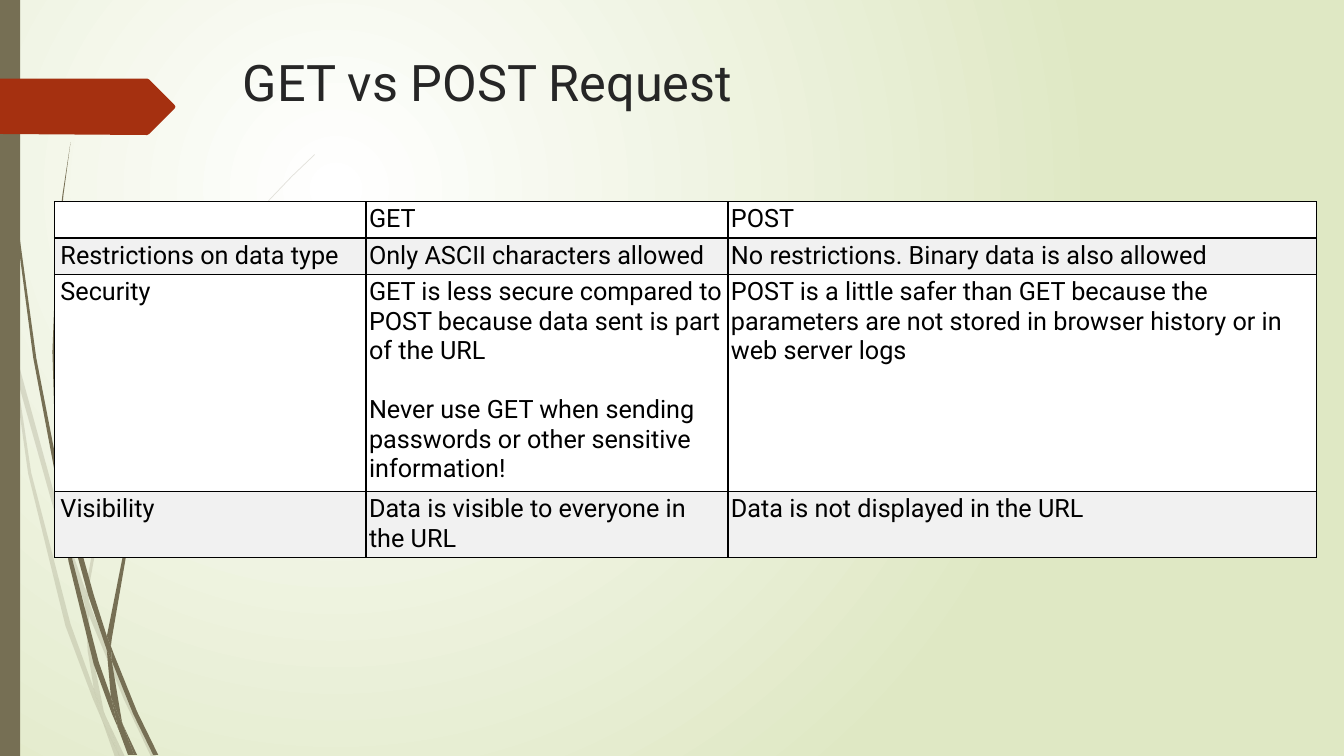
"""Build the slide that compares GET and POST requests."""
import lxml.etree
import pptx
import pptx.dml.color
import pptx.enum.shapes
import pptx.enum.text
import pptx.oxml
import pptx.oxml.ns
import pptx.util

Inches = pptx.util.Inches
Pt = pptx.util.Pt
RGBColor = pptx.dml.color.RGBColor
qn = pptx.oxml.ns.qn

FONT = "Roboto"
WHITE = RGBColor(0xFF, 0xFF, 0xFF)
BLACK = RGBColor(0x00, 0x00, 0x00)
CHARCOAL = RGBColor(0x26, 0x26, 0x26)
PALE_GREEN = RGBColor(0xDF, 0xE8, 0xC4)
OLIVE = RGBColor(0x76, 0x6F, 0x54)
RUST = RGBColor(0xA5, 0x30, 0x10)
LIGHT_GRAY = RGBColor(0xF1, 0xF1, 0xF1)

FAINT_GRASS = [
    [(0.11, 3.5), (0.09, 3.22), (0, 2.82), (0, 2.99), (0.1, 3.44)],
    [(0.58, 5.22), (0.84, 5.99), (0.85, 5.86), (0.62, 5.2), (0.14, 3.45),
     (0.17, 3.76)],
    [(0.92, 6.07), (0.88, 5.96), (0.88, 6.1), (1.23, 6.94), (1.5, 7.51),
     (1.55, 7.51), (1.27, 6.92)],
    [(1.19, 7.51), (1.24, 7.51), (1.05, 7.11)],
    [(0.93, 6.83), (0.7, 6.19), (0.31, 4.69), (0.17, 3.76), (0.11, 3.5),
     (0.28, 4.7), (0.65, 6.21), (0.92, 6.93), (1.01, 7.14), (0.99, 7.07)],
    [(0.84, 5.99), (0.87, 6.46), (0.93, 6.83), (0.96, 6.92), (1.05, 7.11),
     (1.03, 7.06), (0.91, 6.46), (0.88, 6.1), (0.88, 6.08)],
    [(0.88, 5.84), (1.1, 4.62), (1.6, 3.49), (2.29, 2.45), (2.68, 1.98),
     (2.9, 1.75), (3.12, 1.54), (3.12, 1.53), (2.89, 1.75), (2.68, 1.97),
     (2.28, 2.44), (1.58, 3.48), (1.07, 4.61), (0.85, 5.84), (0.85, 5.86),
     (0.88, 5.96)],
    [(1.01, 7.14), (1.14, 7.51), (1.19, 7.51)],
    [(0.88, 6.08), (0.88, 6.1), (0.88, 5.96), (0.85, 5.86), (0.84, 5.99)],
    [(0.96, 6.92), (0.93, 6.83), (0.99, 7.07), (1.01, 7.14), (1.19, 7.51),
     (1.05, 7.11)],
]
DARK_GRASS = [
    [(0.07, 1.1), (0.17, 2.33), (0.33, 3.55), (0.56, 4.77), (0.57, 4.81),
     (0.55, 4.57), (0.55, 4.53), (0.36, 3.55), (0.19, 2.32), (0.08, 1.09),
     (0.05, 0.48), (0.04, 0), (0.03, 0), (0.04, 0.48)],
    [(0.88, 5.92), (1.06, 6.45), (1.06, 6.33), (1.06, 6.31), (0.93, 5.9),
     (0.6, 4.72), (0.64, 5.05)],
    [(1.13, 6.49), (1.1, 6.41), (1.11, 6.56), (1.32, 7.08), (1.52, 7.49),
     (1.57, 7.49), (1.36, 7.06)],
    [(1.1, 6.91), (0.98, 6.57), (0.72, 5.56), (0.64, 5.05), (0.57, 4.77),
     (0.68, 5.57), (0.93, 6.59), (1.11, 7.08), (1.17, 7.22), (1.16, 7.17)],
    [(0.6, 4.72), (0.58, 4.53), (0.54, 3.49), (0.58, 2.45), (0.63, 1.93),
     (0.7, 1.41), (0.62, 1.93), (0.56, 2.45), (0.52, 3.49), (0.55, 4.49)],
    [(1.33, 7.49), (1.36, 7.49), (1.22, 7.19)],
    [(0.57, 4.77), (0.64, 5.05), (0.6, 4.72), (0.55, 4.49), (0.55, 4.53)],
    [(1.11, 6.33), (1.25, 5.52), (1.58, 4.76), (2.05, 4.06), (2.31, 3.74),
     (2.45, 3.59), (2.61, 3.44), (2.6, 3.44), (2.45, 3.58), (2.31, 3.73),
     (2.04, 4.05), (1.56, 4.74), (1.22, 5.51), (1.06, 6.31), (1.1, 6.41)],
    [(1.17, 7.22), (1.27, 7.49), (1.31, 7.49)],
    [(1.06, 6.45), (1.1, 6.91), (1.16, 7.06), (1.22, 7.19), (1.21, 7.16),
     (1.11, 6.56), (1.09, 6.51)],
    [(1.06, 6.45), (1.09, 6.51), (1.11, 6.56), (1.1, 6.41), (1.06, 6.31),
     (1.06, 6.33)],
    [(1.16, 7.06), (1.1, 6.91), (1.16, 7.17), (1.17, 7.22), (1.3, 7.49),
     (1.33, 7.49), (1.22, 7.19)],
]
ARROW = [(1.74, 1.06), (1.73, 1.08), (1.48, 1.33), (1.46, 1.34), (0, 1.33),
         (0, 0.78), (1.46, 0.78), (1.48, 0.79), (1.73, 1.04)]

COLUMN_WIDTHS = [3.09, 3.59, 5.84]
ROW_HEIGHTS = [0.35, 0.36, 2.11, 0.64]
COMPARISON = [
    ["", "GET", "POST"],
    ["Restrictions on data type", "Only ASCII characters allowed",
     "No restrictions. Binary data is also allowed"],
    ["Security",
     "GET is less secure compared to POST because data sent is part of the URL\n"
     "Never use GET when sending passwords or other sensitive information!",
     "POST is a little safer than GET because the parameters are not stored "
     "in browser history or in web server logs"],
    ["Visibility", "Data is visible to everyone in the URL",
     "Data is not displayed in the URL"],
]


def set_background(s):
    """Fill the background with a circular gradient."""
    fill = s.background.fill
    fill.gradient()
    for stop, color in zip(fill.gradient_stops, (WHITE, PALE_GREEN)):
        stop.color.rgb = color
    grad = s.background._cSld.find(".//" + qn("a:gradFill"))
    grad.remove(grad.find(qn("a:lin")))
    circle = lxml.etree.SubElement(grad, qn("a:path"), path="circle")
    lxml.etree.SubElement(circle, qn("a:fillToRect"),
                          l="50000", t="50000", r="100000", b="100000")


def paint(sp, color, alpha=100):
    """Give a shape a plain fill without line or shadow."""
    sp.shadow.inherit = False
    sp.fill.solid()
    sp.fill.fore_color.rgb = color
    sp.line.fill.background()
    if alpha < 100:
        rgb = sp._element.spPr.find(".//" + qn("a:srgbClr"))
        lxml.etree.SubElement(rgb, qn("a:alpha"), val=str(alpha * 1000))


def add_outline(shapes, points, color, alpha=100):
    """Draw a closed outline through points given in inches."""
    start, *rest = [(Inches(x), Inches(y)) for x, y in points]
    builder = shapes.build_freeform(*start)
    builder.add_line_segments(rest, close=True)
    paint(builder.convert_to_shape(), color, alpha)


def add_grass(s, blades, alpha):
    """Draw a group of grass blades."""
    group = s.shapes.add_group_shape()
    for blade in blades:
        add_outline(group.shapes, blade, OLIVE, alpha)


def add_title(s, text):
    """Add the slide title."""
    tf = s.shapes.add_textbox(Inches(2.31), Inches(0.43),
                              Inches(9.75), Inches(0.75)).text_frame
    tf.word_wrap = True
    tf.vertical_anchor = pptx.enum.text.MSO_ANCHOR.MIDDLE
    p = tf.paragraphs[0]
    p.text = text
    p.font.name, p.font.size, p.font.color.rgb = FONT, Pt(36), CHARCOAL


def add_borders(cell):
    """Draw a thin line on all four sides of a cell."""
    tc_pr = cell._tc.get_or_add_tcPr()
    for i, side in enumerate(("lnL", "lnR", "lnT", "lnB")):
        line = pptx.oxml.parse_xml(
            f'<a:{side} {pptx.oxml.ns.nsdecls("a")} w="{Pt(1)}"><a:solidFill>'
            f'<a:srgbClr val="{BLACK}"/></a:solidFill></a:{side}>')
        tc_pr.insert(i, line)


def fill_cell(cell, text, color, left):
    """Write and format one table cell."""
    cell.margin_left = Inches(left)
    cell.margin_right = cell.margin_top = cell.margin_bottom = Inches(0.03)
    cell.fill.solid()
    cell.fill.fore_color.rgb = color
    add_borders(cell)
    cell.text = text
    for i, p in enumerate(cell.text_frame.paragraphs):
        p.font.name, p.font.size, p.font.color.rgb = FONT, Pt(18), BLACK
        p.space_before = Pt(21 if i else 0)


def add_comparison(s):
    """Add the comparison table."""
    table = s.shapes.add_table(
        len(ROW_HEIGHTS), len(COLUMN_WIDTHS), Inches(0.54), Inches(2),
        Inches(sum(COLUMN_WIDTHS)), Inches(sum(ROW_HEIGHTS))).table
    table.first_row = table.horz_banding = False
    for column, width in zip(table.columns, COLUMN_WIDTHS):
        column.width = Inches(width)
    for i, (height, texts) in enumerate(zip(ROW_HEIGHTS, COMPARISON)):
        table.rows[i].height = Inches(height)
        for j, text in enumerate(texts):
            fill_cell(table.cell(i, j), text,
                      LIGHT_GRAY if i % 2 else WHITE, 0.03 if j else 0.06)


def main():
    """Build and save the slide."""
    prs = pptx.Presentation()
    prs.slide_width, prs.slide_height = Inches(13.33), Inches(7.5)
    s = prs.slides.add_slide(prs.slide_layouts[6])
    set_background(s)
    add_grass(s, FAINT_GRASS, 20)
    add_grass(s, DARK_GRASS, 100)
    bar = s.shapes.add_shape(pptx.enum.shapes.MSO_SHAPE.RECTANGLE,
                             0, 0, Inches(0.2), Inches(7.5))
    paint(bar, OLIVE)
    add_outline(s.shapes, ARROW, RUST)
    add_title(s, "GET vs POST Request")
    add_comparison(s)
    prs.save("out.pptx")


if __name__ == "__main__":
    main()
